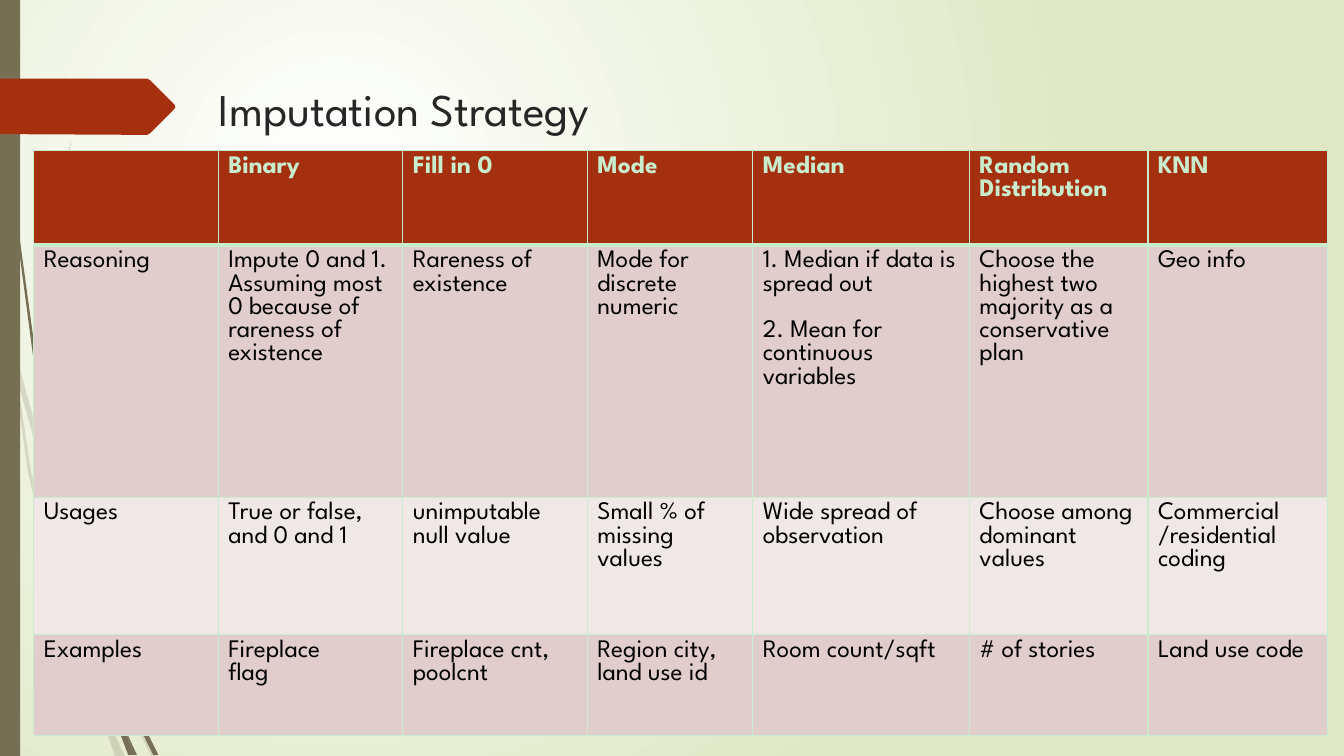
import dataclasses

import pptx
import pptx.dml.color
import pptx.enum.shapes
import pptx.enum.text
import pptx.oxml
import pptx.oxml.ns
import pptx.util

Cm = pptx.util.Cm
Pt = pptx.util.Pt


@dataclasses.dataclass(frozen=True)
class Theme:
    font: str = "League Spartan"
    white: str = "FFFFFF"
    sage: str = "DFE8C4"
    olive: str = "766F54"
    rust: str = "A53010"
    mint: str = "C8ECCC"
    ink: str = "262626"
    black: str = "000000"
    bands: tuple = ("E1CDCC", "F0E8E7")
    head: float = 32.4
    body: float = 18
    gap: float = 16.6


THEME = Theme()

PALE = [
    [(1.47, 13.26), (2.13, 15.21), (2.16, 14.88), (1.57, 13.21), (0.36, 8.76), (0.43, 9.55)],
    [(2.34, 15.42), (2.24, 15.14), (2.24, 15.49), (3.12, 17.63), (3.81, 19.05),
     (3.94, 19.05), (3.23, 17.58)],
    [(3.02, 19.05), (3.15, 19.05), (2.67, 18.06)],
    [(2.36, 17.35), (1.78, 15.72), (0.79, 11.91), (0.43, 9.55), (0.28, 8.89),
     (0.71, 11.94), (1.65, 15.77), (2.34, 17.6), (2.57, 18.14)],
    [(2.57, 18.14), (2.9, 19.05), (3.02, 19.05)],
    [(2.36, 17.35), (2.51, 17.96), (2.57, 18.14), (3.02, 19.05), (2.67, 18.06), (2.44, 17.58)],
]
DARK = [
    [(0.18, 2.79), (0.43, 5.92), (0.84, 9.02), (1.42, 12.12), (1.45, 12.22), (1.4, 11.51),
     (0.91, 9.02), (0.48, 5.89), (0.2, 2.77), (0.1, 0), (0.08, 0)],
    [(2.87, 16.48), (2.79, 16.28), (2.82, 16.66), (3.35, 17.98), (3.86, 19.02),
     (3.99, 19.02), (3.45, 17.93)],
    [(1.52, 11.99), (1.37, 8.86), (1.47, 6.22), (1.6, 4.9), (1.78, 3.58), (1.57, 4.9),
     (1.42, 6.22), (1.32, 8.86), (1.4, 11.4)],
    [(3.38, 19.02), (3.45, 19.02), (3.1, 18.26)],
    [(2.97, 18.34), (3.23, 19.02), (3.33, 19.02)],
    [(2.79, 17.55), (2.95, 18.21), (2.97, 18.34), (3.3, 19.02), (3.38, 19.02),
     (3.1, 18.26), (2.95, 17.93)],
]
ARROW = [(0, 1.98), (3.71, 1.98), (3.78, 2.02), (4.4, 2.64), (4.42, 2.69), (4.4, 2.74),
         (3.78, 3.36), (3.71, 3.4), (0, 3.38)]

COLS = (4.65, 4.65, 4.65, 4.17, 5.46, 4.5, 4.52)
ROWS = (2.38, 6.35, 3.46, 2.54)
CELLS = [
    ["", "Binary", "Fill in 0", "Mode", "Median", "Random Distribution", "KNN"],
    ["Reasoning", "Impute 0 and 1. Assuming most 0 because of rareness of existence",
     "Rareness of existence", "Mode for discrete numeric",
     "1. Median if data is spread out\n2. Mean for continuous variables",
     "Choose the highest two majority as a conservative\nplan", "Geo info"],
    ["Usages", "True or false, and 0 and 1", "unimputable null value",
     "Small % of missing values", "Wide spread of observation",
     "Choose among dominant values", "Commercial /residential coding"],
    ["Examples", "Fireplace\nflag", "Fireplace cnt,\npoolcnt", "Region city, land use id",
     "Room count/sqft", "# of stories", "Land use code"],
]


def rgb(code):
    return pptx.dml.color.RGBColor.from_string(code)


def style(frame, size, color, bold=False):
    for para in frame.paragraphs:
        for run in para.runs:
            run.font.name = THEME.font
            run.font.size = Pt(size)
            run.font.bold = bold
            run.font.color.rgb = rgb(color)


def paint(shape, color, alpha=None):
    shape.shadow.inherit = False
    shape.fill.solid()
    shape.fill.fore_color.rgb = rgb(color)
    shape.line.fill.background()
    if alpha:
        tone = shape.fill._xPr.find(".//" + pptx.oxml.ns.qn("a:srgbClr"))
        tone.append(pptx.oxml.parse_xml(
            f'<a:alpha {pptx.oxml.ns.nsdecls("a")} val="{alpha * 1000}"/>'))


def add_free(slide, points, color, alpha=None):
    spots = [(Cm(x), Cm(y)) for x, y in points]
    pen = slide.shapes.build_freeform(*spots[0])
    pen.add_line_segments(spots[1:], close=True)
    paint(pen.convert_to_shape(), color, alpha)


def set_back(slide):
    fill = slide.background.fill
    fill.gradient()
    for stop, place, color in zip(fill.gradient_stops, (0, 1), (THEME.white, THEME.sage)):
        stop.position = place
        stop.color.rgb = rgb(color)
    line = slide.background._cSld.find(".//" + pptx.oxml.ns.qn("a:lin"))
    line.getparent().replace(line, pptx.oxml.parse_xml(
        f'<a:path {pptx.oxml.ns.nsdecls("a")} path="circle">'
        '<a:fillToRect l="50000" t="50000" r="100000" b="100000"/></a:path>'))


def set_title(slide, text):
    title = slide.shapes.title
    title.left, title.top, title.width, title.height = Cm(5.26), Cm(1.98), Cm(24.77), Cm(1.57)
    frame = title.text_frame
    frame.text = text
    frame.word_wrap = True
    frame.auto_size = pptx.enum.text.MSO_AUTO_SIZE.NONE
    frame.vertical_anchor = pptx.enum.text.MSO_ANCHOR.BOTTOM
    frame.paragraphs[0].alignment = pptx.enum.text.PP_ALIGN.LEFT
    style(frame, THEME.head, THEME.ink)


def set_edge(cell, side, width):
    cell._tc.get_or_add_tcPr().append(pptx.oxml.parse_xml(
        f'<a:ln{side} {pptx.oxml.ns.nsdecls("a")} w="{Pt(width)}"><a:solidFill>'
        f'<a:srgbClr val="{THEME.mint}"/></a:solidFill></a:ln{side}>'))


def set_cell(cell, text, row):
    widths = {"L": 1, "R": 1, "T": 3 if row == 1 else 1, "B": 3 if row == 0 else 1}
    for side, width in widths.items():
        set_edge(cell, side, width)
    cell.fill.solid()
    cell.fill.fore_color.rgb = rgb(THEME.bands[(row - 1) % 2] if row else THEME.rust)
    frame = cell.text_frame
    frame.text = text
    style(frame, THEME.body, THEME.black if row else THEME.mint, bold=row == 0)


def add_grid(slide):
    frame = slide.shapes.add_table(len(ROWS), len(COLS), Cm(0.85), Cm(3.8),
                                   Cm(sum(COLS)), Cm(sum(ROWS)))
    table = frame.table
    for col, width in zip(table.columns, COLS):
        col.width = Cm(width)
    for row, height in zip(table.rows, ROWS):
        row.height = Cm(height)
    for i, texts in enumerate(CELLS):
        for j, text in enumerate(texts):
            set_cell(table.cell(i, j), text, i)
    table.cell(1, 4).text_frame.paragraphs[1].space_before = Pt(THEME.gap)


def main():
    deck = pptx.Presentation()
    deck.slide_width, deck.slide_height = Cm(33.87), Cm(19.05)
    slide = deck.slides.add_slide(deck.slide_layouts[5])
    set_back(slide)
    for points in PALE:
        add_free(slide, points, THEME.olive, alpha=20)
    for points in DARK:
        add_free(slide, points, THEME.olive)
    bar = slide.shapes.add_shape(pptx.enum.shapes.MSO_SHAPE.RECTANGLE,
                                 Cm(0), Cm(0), Cm(0.51), deck.slide_height)
    paint(bar, THEME.olive)
    add_free(slide, ARROW, THEME.rust)
    set_title(slide, "Imputation Strategy")
    add_grid(slide)
    deck.save("out.pptx")


if __name__ == "__main__":
    main()
